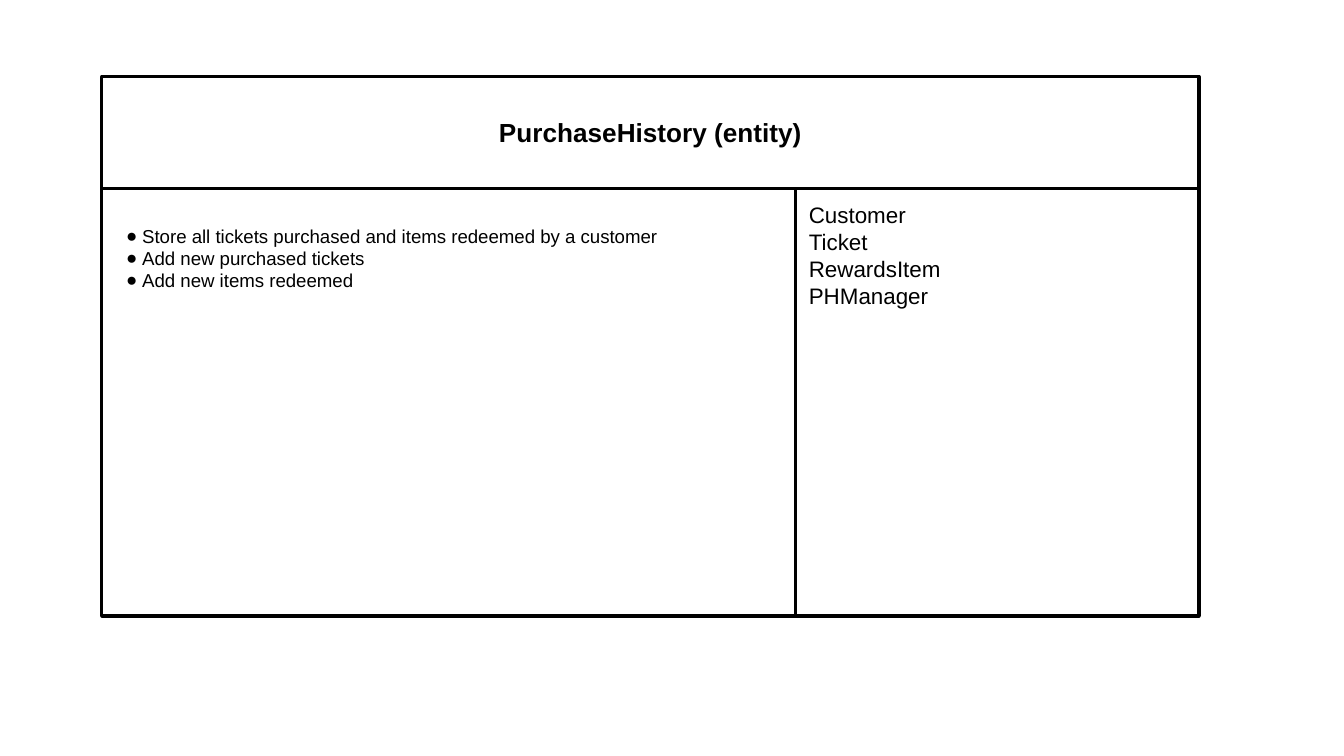
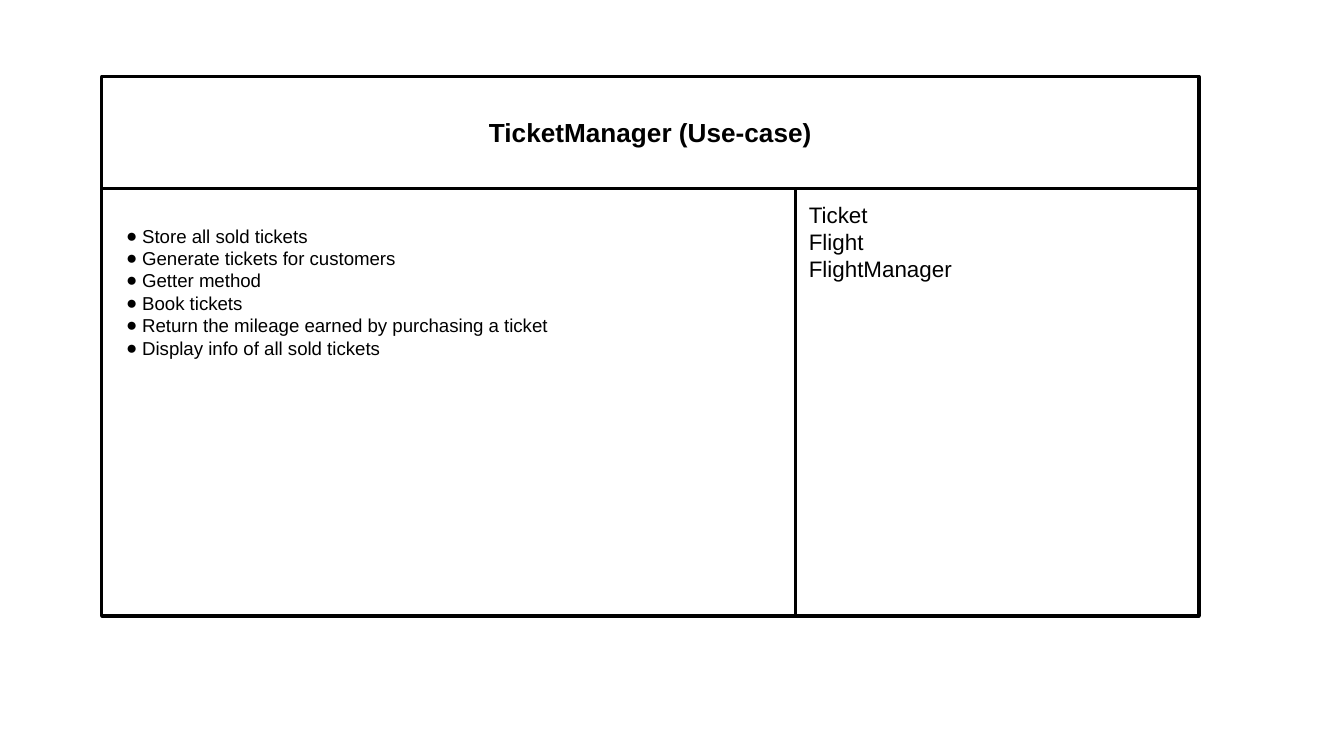
from lxml import etree
from pptx import Presentation
from pptx import util as u
from pptx.dml.color import RGBColor
from pptx.enum import shapes, text
from pptx.oxml.ns import qn

CARDS = [
    {
        "title": "PurchaseHistory (entity)",
        "duties": [
            "Store all tickets purchased and items redeemed by a customer",
            "Add new purchased tickets",
            "Add new items redeemed",
        ],
        "partners": ["Customer", "Ticket", "RewardsItem", "PHManager"],
    },
    {
        "title": "TicketManager (Use-case)",
        "duties": [
            "Store all sold tickets",
            "Generate tickets for customers",
            "Getter method",
            "Book tickets",
            "Return the mileage earned by purchasing a ticket",
            "Display info of all sold tickets",
        ],
        "partners": ["Ticket", "Flight", "FlightManager"],
    },
]
COLORS = {"ink": "000000", "paper": "FFFFFF"}
FONT = "Arial"
LEFT, TOP, WIDTH = 0.76, 0.57, 8.16
HEADER_H, BODY_H, DUTIES_W = 0.83, 3.18, 5.16
INSET = 0.1


def rgb(name):
    return RGBColor.from_string(COLORS[name])


def add_box(group, x, y, w, h, line=1.5):
    sp = group.shapes.add_shape(
        shapes.MSO_SHAPE.RECTANGLE, *(u.Inches(v) for v in (x, y, w, h)))
    sp.shadow.inherit = False
    sp.fill.solid()
    sp.fill.fore_color.rgb = rgb("paper")
    sp.line.color.rgb = rgb("ink")
    sp.line.width = u.Pt(line)
    return sp


def add_bullet(p):
    pPr = p._p.get_or_add_pPr()
    pPr.set("marL", str(u.Inches(0.2)))
    pPr.set("indent", str(u.Inches(-0.12)))
    color = etree.SubElement(pPr, qn("a:buClr"))
    etree.SubElement(color, qn("a:srgbClr"), val=COLORS["ink"])
    etree.SubElement(pPr, qn("a:buFont"), typeface=FONT)
    etree.SubElement(pPr, qn("a:buChar"), char="●")


def write(sp, lines, size, bold=False, bullets=False, top=INSET,
          align=text.PP_ALIGN.LEFT, anchor=text.MSO_ANCHOR.TOP):
    tf = sp.text_frame
    tf.word_wrap = True
    tf.vertical_anchor = anchor
    tf.margin_left = tf.margin_right = tf.margin_bottom = u.Inches(INSET)
    tf.margin_top = u.Inches(top)
    for i, line in enumerate(lines):
        p = tf.paragraphs[0] if i == 0 else tf.add_paragraph()
        p.alignment = align
        if bullets:
            add_bullet(p)
        r = p.add_run()
        r.text = line
        r.font.name = FONT
        r.font.size = u.Pt(size)
        r.font.bold = bold
        r.font.color.rgb = rgb("ink")


def add_card(prs, card):
    s = prs.slides.add_slide(prs.slide_layouts[6])
    group = s.shapes.add_group_shape()
    body_y = TOP + HEADER_H
    add_box(group, LEFT, TOP, WIDTH, HEADER_H + BODY_H, line=2.25)
    header = add_box(group, LEFT, TOP, WIDTH, HEADER_H)
    duties = add_box(group, LEFT, body_y, DUTIES_W, BODY_H)
    partners = add_box(group, LEFT + DUTIES_W, body_y, WIDTH - DUTIES_W, BODY_H)
    write(header, [card["title"]], 14, bold=True,
          align=text.PP_ALIGN.CENTER, anchor=text.MSO_ANCHOR.MIDDLE)
    write(duties, card["duties"], 10, bullets=True, top=0.27)
    write(partners, card["partners"], 12)


def main():
    prs = Presentation()
    prs.slide_width = u.Inches(10)
    prs.slide_height = prs.slide_width * 9 // 16
    for card in CARDS:
        add_card(prs, card)
    prs.save("out.pptx")


if __name__ == "__main__":
    main()
